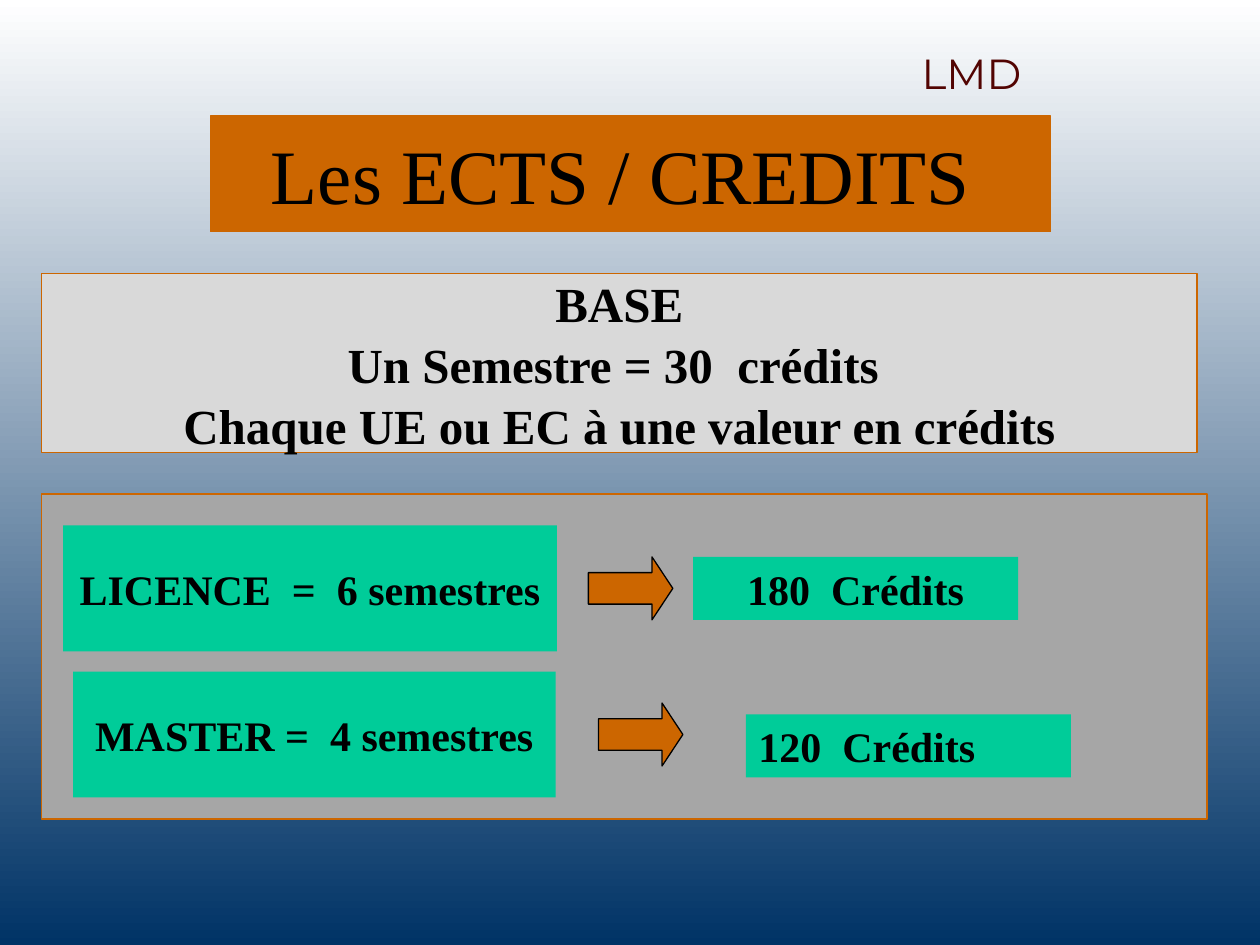
from pptx import Presentation
from pptx.dml.color import RGBColor
from pptx.enum.shapes import MSO_SHAPE
from pptx.enum.text import MSO_ANCHOR, PP_ALIGN
from pptx.util import Inches, Pt

WHITE = RGBColor(0xFF, 0xFF, 0xFF)
NAVY = RGBColor(0x00, 0x33, 0x66)
BLACK = RGBColor(0x00, 0x00, 0x00)
MAROON = RGBColor(0x52, 0x04, 0x02)
ORANGE = RGBColor(0xCC, 0x66, 0x00)
GREEN = RGBColor(0x00, 0xCC, 0x99)
LIGHT_GREY = RGBColor(0xD9, 0xD9, 0xD9)
GREY = RGBColor(0xA6, 0xA6, 0xA6)

RECTANGLE = MSO_SHAPE.RECTANGLE
RIGHT_ARROW = MSO_SHAPE.RIGHT_ARROW
LEFT, CENTER = PP_ALIGN.LEFT, PP_ALIGN.CENTER
MIDDLE = MSO_ANCHOR.MIDDLE


class SlideBuilder:
    heading_font = "Montserrat"
    body_font = "Times New Roman"
    line_width = Pt(0.75)

    def __init__(self, slide):
        self.slide = slide

    def background(self, top, bottom):
        fill = self.slide.background.fill
        fill.gradient()
        fill.gradient_angle = 270
        for stop, color in zip(fill.gradient_stops, (top, bottom)):
            stop.color.rgb = color

    def add_lines(self, shape, lines, size, color, font, bold=False, align=CENTER, spacing=1.0):
        frame = shape.text_frame
        frame.word_wrap = True
        for index, line in enumerate(lines):
            paragraph = frame.add_paragraph() if index else frame.paragraphs[0]
            paragraph.alignment = align
            paragraph.line_spacing = spacing
            run = paragraph.add_run()
            run.text = line
            run.font.name = font
            run.font.size = Pt(size)
            run.font.bold = bold
            run.font.color.rgb = color

    def label(self, box, text, size, color):
        shape = self.slide.shapes.add_textbox(*map(Inches, box))
        self.add_lines(shape, [text], size, color, self.heading_font)

    def shape(self, kind, box, fill, line=None):
        shape = self.slide.shapes.add_shape(kind, *map(Inches, box))
        shape.shadow.inherit = False
        shape.fill.solid()
        shape.fill.fore_color.rgb = fill
        if line is None:
            shape.line.fill.background()
        else:
            shape.line.color.rgb = line
            shape.line.width = self.line_width
        return shape

    def panel(self, box, fill, lines, size, line=None, **style):
        shape = self.shape(RECTANGLE, box, fill, line)
        shape.text_frame.vertical_anchor = MIDDLE
        self.add_lines(shape, lines, size, BLACK, self.body_font, **style)

    def arrow(self, left, top):
        arrow = self.shape(RIGHT_ARROW, (left, top, 0.67, 0.5), ORANGE, BLACK)
        arrow.adjustments[0] = 0.5
        arrow.adjustments[1] = 0.33


def main():
    presentation = Presentation()
    presentation.slide_width = Inches(10)
    presentation.slide_height = Inches(7.5)
    builder = SlideBuilder(presentation.slides.add_slide(presentation.slide_layouts[6]))

    builder.background(WHITE, NAVY)
    builder.label((5.42, 0.33, 4.58, 0.5), "LMD", 24, MAROON)
    builder.panel((1.67, 0.92, 6.67, 0.92), ORANGE, ["Les ECTS / CREDITS "], 44, ORANGE)
    base_lines = [
        "BASE",
        "Un Semestre = 30  crédits ",
        "Chaque UE ou EC à une valeur en crédits",
    ]
    builder.panel((0.33, 2.17, 9.17, 1.42), LIGHT_GREY, base_lines, 28, ORANGE,
                  bold=True, spacing=1.04)
    builder.shape(RECTANGLE, (0.33, 3.92, 9.25, 2.58), GREY, ORANGE)

    degrees = [
        ("LICENCE  =  6 semestres", (0.5, 4.17, 3.92, 1), (4.67, 4.42),
         "180  Crédits", (5.5, 4.42, 2.58, 0.5), CENTER),
        ("MASTER =  4 semestres", (0.58, 5.33, 3.83, 1), (4.75, 5.58),
         "120  Crédits", (5.92, 5.67, 2.58, 0.5), LEFT),
    ]
    for duration, duration_box, arrow_position, credits, credits_box, align in degrees:
        builder.arrow(*arrow_position)
        builder.panel(credits_box, GREEN, [credits], 24, bold=True, align=align)
        builder.panel(duration_box, GREEN, [duration], 24, bold=True)

    presentation.save("out.pptx")


if __name__ == "__main__":
    main()
